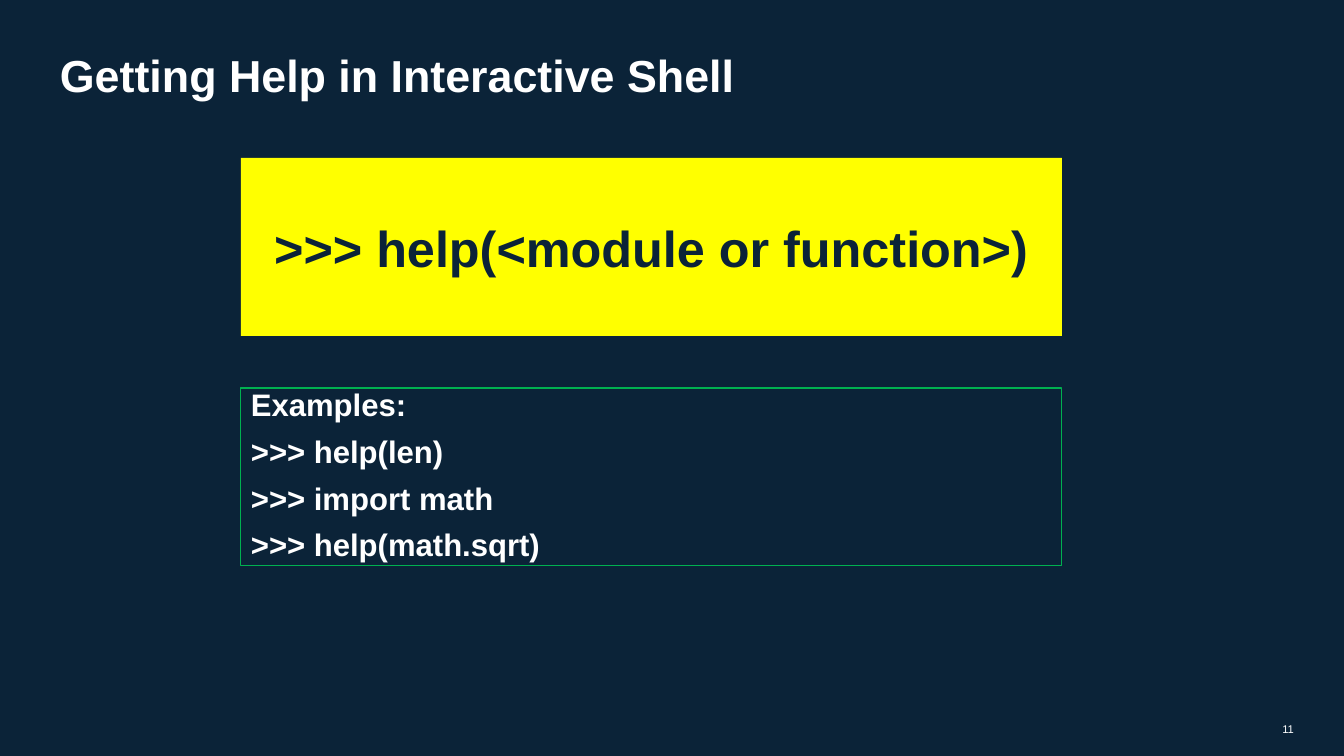
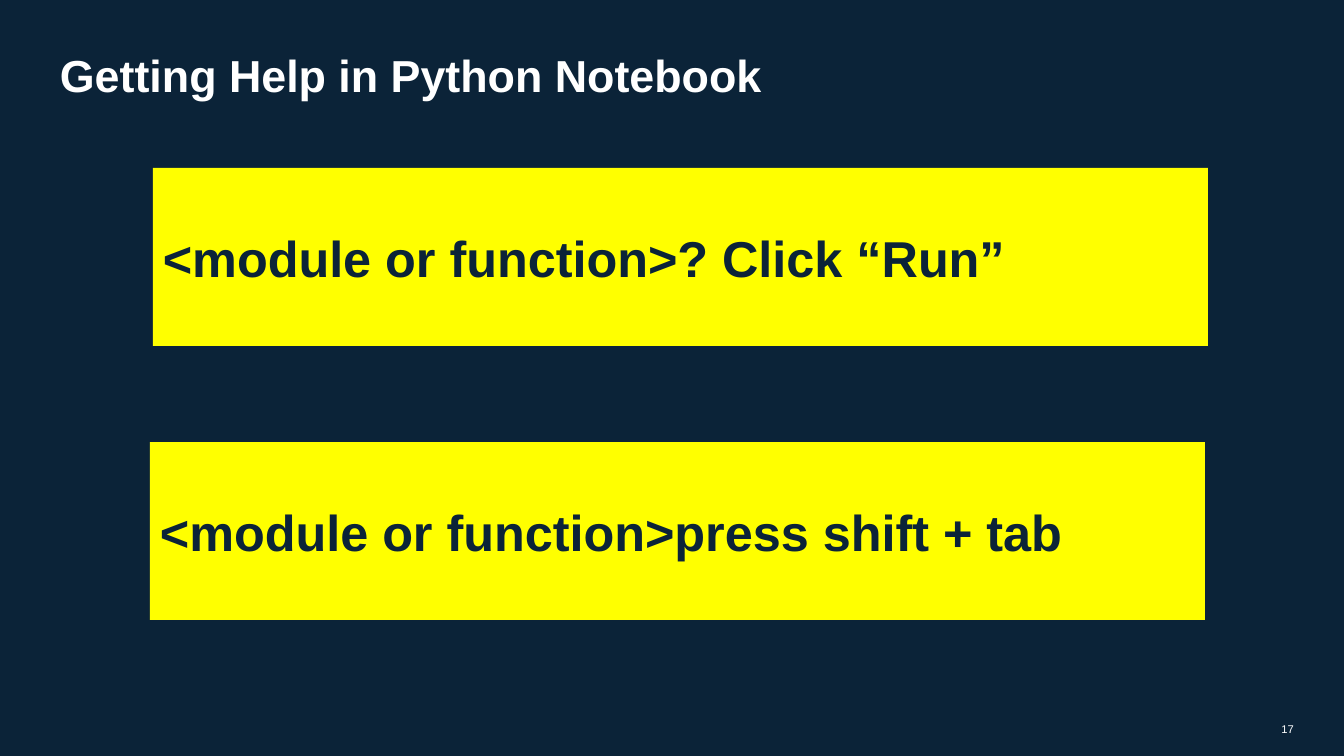
import pptx
import pptx.dml.color
import pptx.enum.shapes
import pptx.enum.text
import pptx.util

NAVY = pptx.dml.color.RGBColor(0x0B, 0x23, 0x38)
WHITE = pptx.dml.color.RGBColor(0xFF, 0xFF, 0xFF)
YELLOW = pptx.dml.color.RGBColor(0xFF, 0xFF, 0x00)
GREEN = pptx.dml.color.RGBColor(0x00, 0xB0, 0x50)
FONT = "Arial"
PX = 914400 / 100.8
BOX_H = 178

ALIGN = pptx.enum.text.PP_ALIGN
ANCHOR = pptx.enum.text.MSO_ANCHOR
RECT = pptx.enum.shapes.MSO_SHAPE.RECTANGLE


def px(*lengths):
    return [pptx.util.Emu(round(n * PX)) for n in lengths]


def write(sp, lines, size, color, bold=True, align=ALIGN.LEFT,
          anchor=ANCHOR.MIDDLE, gap=0, spacing=None):
    tf = sp.text_frame
    tf.word_wrap = True
    tf.vertical_anchor = anchor
    for i, line in enumerate(lines):
        p = tf.add_paragraph() if i else tf.paragraphs[0]
        p.alignment = align
        p.space_before = p.space_after = pptx.util.Pt(gap)
        if spacing:
            p.line_spacing = spacing
        r = p.add_run()
        r.text = line
        r.font.name = FONT
        r.font.size = pptx.util.Pt(size)
        r.font.bold = bold
        r.font.color.rgb = color


EXAMPLES = ["Examples:", ">>> help(len)", ">>> import math", ">>> help(math.sqrt)"]
SLIDES = [
    ("Getting Help in Interactive Shell", "11",
     [(241, 158, 821, ">>> help(<module or function>)", ALIGN.CENTER)],
     [(241, 388, 821, EXAMPLES)]),
    ("Getting Help in Python Notebook", "17",
     [(153, 168, 1055, "<module or function>? Click “Run”", ALIGN.LEFT),
      (150, 442, 1055, "<module or function>press shift + tab", ALIGN.LEFT)],
     []),
]

prs = pptx.Presentation()
prs.slide_width, prs.slide_height = px(1344, 756)
blank = prs.slide_layouts[6]

for title, number, banners, frames in SLIDES:
    s = prs.slides.add_slide(blank)
    s.background.fill.solid()
    s.background.fill.fore_color.rgb = NAVY

    sp = s.shapes.add_textbox(*px(50, 42, 1243, 65))
    write(sp, [title], 32, WHITE)

    sp = s.shapes.add_textbox(*px(1206, 715, 88, 28))
    sp.text_frame.margin_left = sp.text_frame.margin_right = 0
    write(sp, [number], 8, WHITE, bold=False, align=ALIGN.RIGHT)

    for x, y, w, text, align in banners:
        sp = s.shapes.add_shape(RECT, *px(x, y, w, BOX_H))
        sp.shadow.inherit = False
        sp.fill.solid()
        sp.fill.fore_color.rgb = YELLOW
        sp.line.fill.background()
        write(sp, [text], 36, NAVY, align=align, gap=6)

    for x, y, w, lines in frames:
        sp = s.shapes.add_shape(RECT, *px(x, y, w, BOX_H))
        sp.shadow.inherit = False
        sp.fill.background()
        sp.line.color.rgb = GREEN
        sp.line.width = pptx.util.Pt(0.75)
        write(sp, lines, 22.2, WHITE, anchor=ANCHOR.TOP, gap=6, spacing=0.8)

prs.save("out.pptx")
